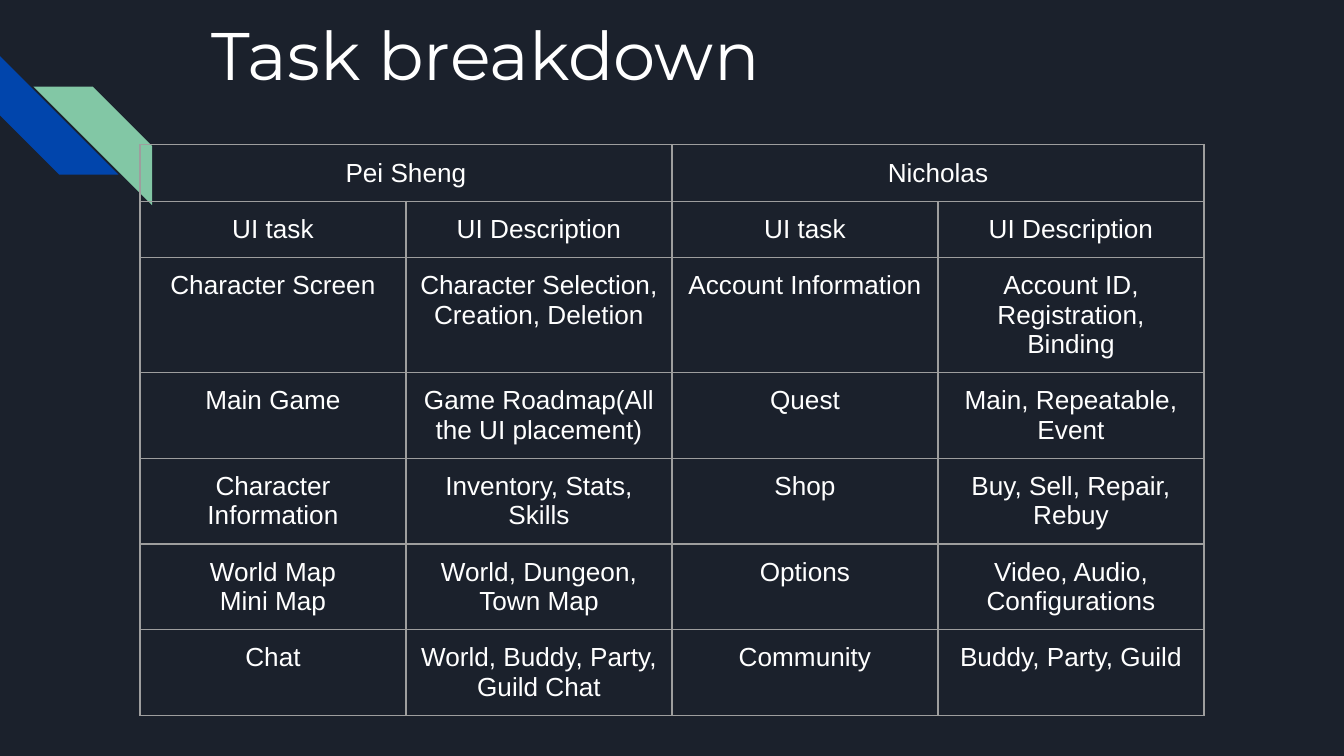
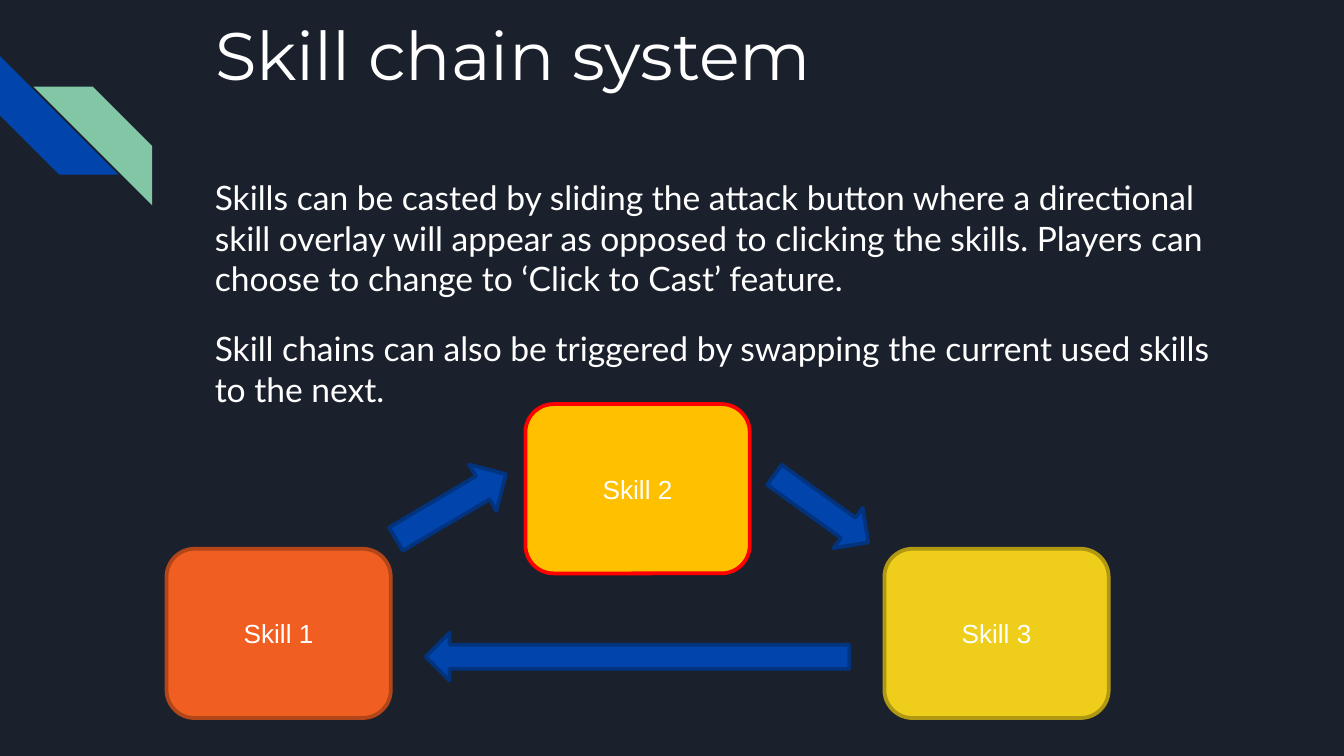
from lxml import etree
from pptx import Presentation
from pptx.dml.color import RGBColor
from pptx.enum.shapes import MSO_SHAPE as Kind
from pptx.enum.text import MSO_ANCHOR as Anchor, MSO_AUTO_SIZE as Auto, PP_ALIGN as Align
from pptx.oxml.ns import qn
from pptx.util import Pt

HUES = {
    "back": "1B212C", "text": "FFFFFF", "grid": "9E9E9E",
    "blue": "0145AC", "navy": "01337F", "green": "82C7A5",
    "orange": "F15E22", "rust": "B24619", "amber": "FFC000",
    "red": "FF0000", "yellow": "EECE1A", "olive": "B09813",
}
RGB = {name: RGBColor.from_string(code) for name, code in HUES.items()}


def style(frame, face, size, align, anchor=Anchor.TOP):
    frame.word_wrap = True
    frame.vertical_anchor = anchor
    for para in frame.paragraphs:
        para.alignment = align
        para.font.name = face
        para.font.size = Pt(size)
        para.font.color.rgb = RGB["text"]


def draw(slide, kind, box, fill, edge=None, turn=0):
    shape = slide.shapes.add_shape(kind, *map(Pt, box))
    shape.shadow.inherit = False
    shape.rotation = turn
    shape.fill.solid()
    shape.fill.fore_color.rgb = RGB[fill]
    if edge:
        shape.line.color.rgb = RGB[edge]
        shape.line.width = Pt(2)
    else:
        shape.line.fill.background()
    return shape


deck = Presentation()
deck.slide_width, deck.slide_height = Pt(720), Pt(405)
fill = deck.slide_master.background.fill
fill.solid()
fill.fore_color.rgb = RGB["back"]

layout = deck.slide_layouts[5]
tasks, chain = [deck.slides.add_slide(layout) for _ in range(2)]

blue = draw(tasks, Kind.DIAGONAL_STRIPE, (0, 30, 63.5, 63.5), "blue", turn=270)
green = draw(tasks, Kind.DIAGONAL_STRIPE, (18, 46.4, 63.5, 63.5), "green")
green._element.spPr.xfrm.set("flipH", "1")
for band in (blue, green):
    layout.shapes._spTree.append(band._element)

for slide, text, left in ((tasks, "Task breakdown", 106), (chain, "Skill chain system", 108)):
    title = slide.shapes.title
    title.left, title.top, title.width, title.height = map(Pt, (left, 0, 554.4, 72))
    frame = title.text_frame
    frame.text = text
    frame.auto_size = Auto.NONE
    frame.margin_left = frame.margin_right = frame.margin_top = frame.margin_bottom = Pt(7.2)
    style(frame, "Montserrat", 36, Align.LEFT)

ROWS = [
    ("Pei Sheng", "", "Nicholas", ""),
    ("UI task", "UI Description") * 2,
    ("Character Screen", "Character Selection, Creation, Deletion",
     "Account Information", "Account ID, Registration, Binding"),
    ("Main Game", "Game Roadmap(All the UI placement)", "Quest", "Main, Repeatable, Event"),
    ("Character Information", "Inventory, Stats, Skills", "Shop", "Buy, Sell, Repair, Rebuy"),
    ("World Map\nMini Map", "World, Dungeon, Town Map", "Options", "Video, Audio, Configurations"),
    ("Chat", "World, Buddy, Party, Guild Chat", "Community", "Buddy, Party, Guild"),
]
holder = tasks.shapes.add_table(len(ROWS), 4, Pt(75), Pt(77.6), Pt(570), Pt(319))
table = holder.table
table.first_row = table.horz_banding = False
for row, words in zip(table.rows, ROWS):
    row.height = Pt(30.2)
    for cell, text in zip(row.cells, words):
        cell.text = text
        cell.margin_left = cell.margin_right = cell.margin_top = cell.margin_bottom = Pt(7.2)
        style(cell.text_frame, "Arial", 14, Align.CENTER)
        props = cell._tc.get_or_add_tcPr()
        for side in ("lnL", "lnR", "lnT", "lnB"):
            line = etree.SubElement(props, qn("a:" + side), w=str(Pt(0.75)))
            solid = etree.SubElement(line, qn("a:solidFill"))
            etree.SubElement(solid, qn("a:srgbClr"), val=HUES["grid"])
        cell.fill.background()
for col in (0, 2):
    table.cell(0, col).merge(table.cell(0, col + 1))
holder.height = Pt(319)

body = chain.shapes.add_textbox(Pt(108), Pt(87.8), Pt(554.4), Pt(229)).text_frame
body.text = (
    "Skills can be casted by sliding the attack button where a directional skill overlay "
    "will appear as opposed to clicking the skills. Players can choose to change to "
    "‘Click to Cast’ feature.\n"
    "Skill chains can also be triggered by swapping the current used skills to the next."
)
body.margin_left = body.margin_right = body.margin_top = body.margin_bottom = Pt(7.2)
style(body, "Lato", 18, Align.LEFT)
for para in body.paragraphs:
    para.space_after = Pt(16)

SKILLS = [(294, "orange", "rust"), (216.5, "amber", "red"), (294, "yellow", "olive")]
for num, (top, hue, edge) in enumerate(SKILLS):
    box = (89.2 + 192.3 * num, top, 120.2, 90.7)
    skill = draw(chain, Kind.ROUNDED_RECTANGLE, box, hue, edge)
    skill.text_frame.text = f"Skill {num + 1}"
    style(skill.text_frame, "Arial", 14, Align.CENTER, Anchor.MIDDLE)

ARROWS = [
    ((207.4, 257, 68.4, 28.8), 329.4),
    ((409, 259.2, 62, 26.6), 35.7),
    ((228, 339, 227, 25.6), 180),
]
for box, turn in ARROWS:
    draw(chain, Kind.RIGHT_ARROW, box, "blue", "navy", turn)

deck.save("out.pptx")
